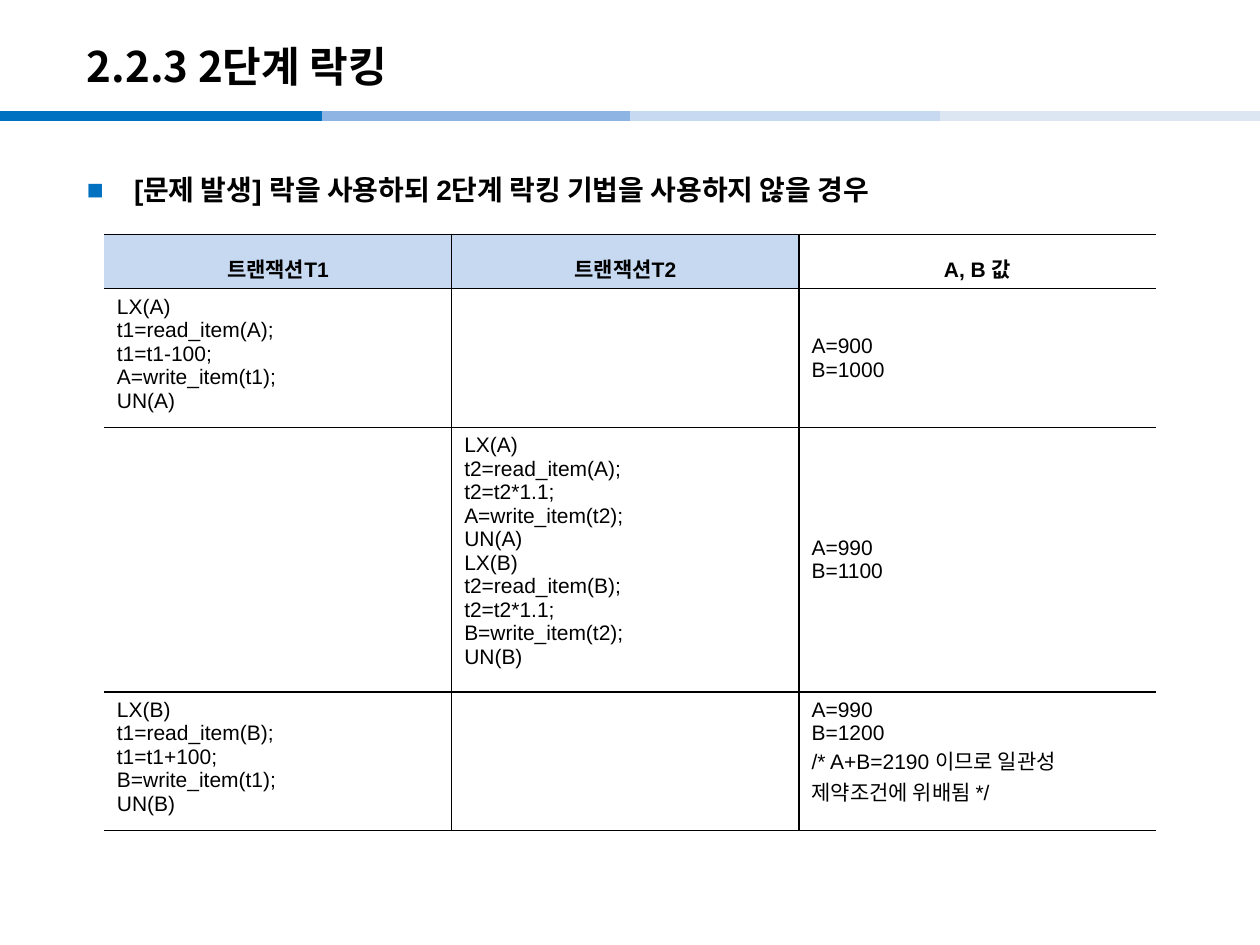
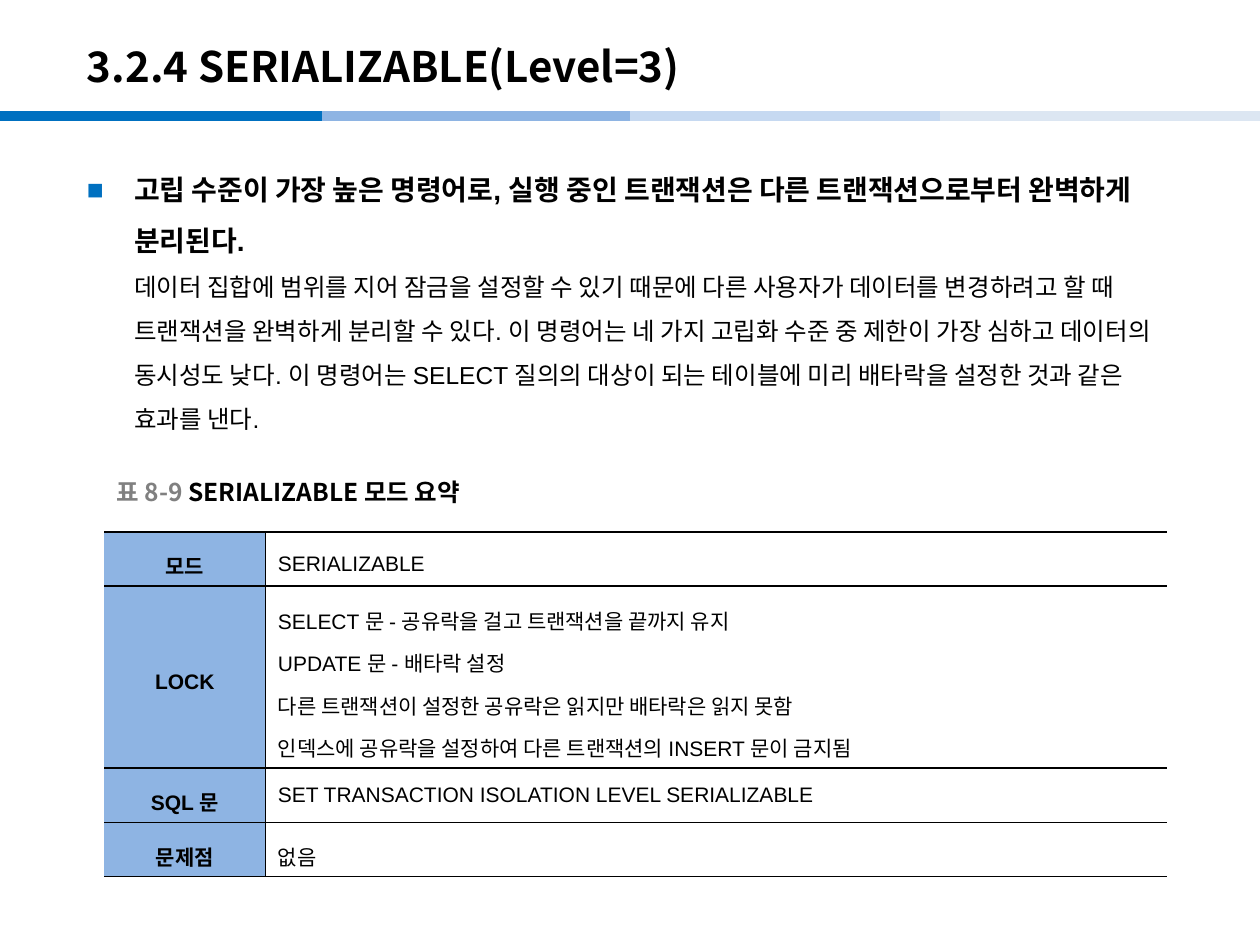
import copy
from dataclasses import dataclass

import pptx
import pptx.dml.color
import pptx.enum.shapes
import pptx.enum.text
import pptx.oxml
import pptx.oxml.ns
import pptx.util

Pt = pptx.util.Pt
ALIGN = pptx.enum.text.PP_ALIGN
ANCHOR = pptx.enum.text.MSO_ANCHOR

COLORS = {
    "text": "000000",
    "white": "FFFFFF",
    "caption_number": "808080",
    "blue": "0070C0",
    "mid_blue": "8EB4E3",
    "light_blue": "C6D9F1",
    "pale_blue": "DCE6F2",
}
BODY_FONT = "Arial"
KOREAN_FONT = "Noto Sans CJK KR"
BAND_TOP = 66.2
BANDS = [(0, "blue"), (184, "mid_blue"), (360, "light_blue"), (537, "pale_blue")]
SLIDE_WIDTH = 720
TABLE_LEFT = 59.6
SINGLE_ROW, CODE_ROW, LONG_CODE_ROW, LOCK_ROW = 31, 74, 141, 104


@dataclass
class Cell:
    lines: tuple = ()
    fill: str = "white"
    bold: bool = False
    align: ALIGN = ALIGN.LEFT
    anchor: ANCHOR = ANCHOR.TOP
    spacing: float = 1.0


def heading(text, fill):
    return Cell((text,), fill, True, ALIGN.CENTER, ANCHOR.MIDDLE, 1.4)


def centred_values(*lines):
    return Cell(lines, anchor=ANCHOR.MIDDLE)


def description(*lines, anchor=ANCHOR.TOP):
    return Cell(lines, anchor=anchor, spacing=1.4)


def rgb(name):
    return pptx.dml.color.RGBColor.from_string(COLORS[name])


def add_run(paragraph, text, size, bold=False, font=BODY_FONT, color="text"):
    run = paragraph.add_run()
    run.text = text
    run.font.size = Pt(size)
    run.font.bold = bold
    run.font.color.rgb = rgb(color)
    run.font.name = font
    properties = run._r.get_or_add_rPr()
    east_asian = pptx.oxml.ns.qn("a:ea")
    properties.makeelement(east_asian)
    properties.append(properties.makeelement(east_asian, {"typeface": KOREAN_FONT}))
    return run


def add_line_break(paragraph, run):
    """Break the line after run, at the size of that run."""
    paragraph.add_line_break()
    paragraph._p[-1].append(copy.deepcopy(run._r.rPr))


def add_bands(slide):
    ends = [left for left, _ in BANDS[1:]] + [SLIDE_WIDTH]
    for (left, color), right in zip(BANDS, ends):
        band = slide.shapes.add_connector(
            pptx.enum.shapes.MSO_CONNECTOR.STRAIGHT,
            Pt(left), Pt(BAND_TOP), Pt(right), Pt(BAND_TOP))
        band.line.color.rgb = rgb(color)
        band.line.width = Pt(6)
        properties = band._element.spPr
        properties.append(properties.makeelement(pptx.oxml.ns.qn("a:effectLst")))


def add_titled_slide(deck, title_text):
    slide = deck.slides.add_slide(deck.slide_layouts[5])
    add_bands(slide)
    title = slide.shapes.title
    title.left, title.top, title.width, title.height = Pt(42.5), Pt(16), Pt(595), Pt(43)
    title.text_frame.vertical_anchor = ANCHOR.MIDDLE
    paragraph = title.text_frame.paragraphs[0]
    paragraph.alignment = ALIGN.LEFT
    add_run(paragraph, title_text, 24, True, KOREAN_FONT)
    return slide


def add_bullet(slide, statement, explanation=None):
    body = slide.shapes.add_textbox(Pt(42.5), Pt(85.7), Pt(635), Pt(430.5))
    body.text_frame.word_wrap = True
    paragraph = body.text_frame.paragraphs[0]
    paragraph.line_spacing = 1.5
    properties = paragraph._p.get_or_add_pPr()
    properties.set("marL", str(Pt(27)))
    properties.set("indent", str(-Pt(27)))
    for tag, attributes in (("buFont", {"typeface": BODY_FONT}), ("buChar", {"char": "■"})):
        properties.append(properties.makeelement(pptx.oxml.ns.qn("a:" + tag), attributes))
    properties.insert(1, pptx.oxml.parse_xml(
        f'<a:buClr {pptx.oxml.ns.nsdecls("a")}><a:srgbClr val="{COLORS["blue"]}"/></a:buClr>'))
    statement_run = add_run(paragraph, statement, 16, True)
    if explanation:
        add_line_break(paragraph, statement_run)
        add_run(paragraph, explanation, 14)


def set_borders(cell, has_left, has_right):
    properties = cell._tc.get_or_add_tcPr()
    sides = (("L", has_left), ("R", has_right), ("T", True), ("B", True))
    for side, visible in sides:
        paint = (f'<a:solidFill><a:srgbClr val="{COLORS["text"]}"/></a:solidFill>'
                 if visible else "<a:noFill/>")
        properties.append(pptx.oxml.parse_xml(
            f'<a:ln{side} {pptx.oxml.ns.nsdecls("a")} w="{Pt(1)}">{paint}</a:ln{side}>'))


def fill_cell(cell, content):
    cell.fill.solid()
    cell.fill.fore_color.rgb = rgb(content.fill)
    cell.vertical_anchor = content.anchor
    frame = cell.text_frame
    for number, line in enumerate(content.lines):
        paragraph = frame.add_paragraph() if number else frame.paragraphs[0]
        paragraph.alignment = content.align
        paragraph.line_spacing = content.spacing
        add_run(paragraph, line, 12, content.bold)


def add_ruled_table(slide, top, widths, heights, rows):
    """Table with horizontal rules and inner vertical rules, open at both sides."""
    table = slide.shapes.add_table(
        len(rows), len(widths), Pt(TABLE_LEFT), Pt(top),
        Pt(sum(widths)), Pt(sum(heights))).table
    table.first_row = table.horz_banding = False
    for column, width in zip(table.columns, widths):
        column.width = Pt(width)
    for row, height, contents in zip(table.rows, heights, rows):
        row.height = Pt(height)
        for index, (cell, content) in enumerate(zip(row.cells, contents)):
            set_borders(cell, index > 0, index < len(widths) - 1)
            fill_cell(cell, content)


def add_table_caption(slide, number, text):
    caption = slide.shapes.add_textbox(Pt(TABLE_LEFT), Pt(270), Pt(220), Pt(22.3))
    caption.text_frame.word_wrap = False
    caption.text_frame.vertical_anchor = ANCHOR.MIDDLE
    paragraph = caption.text_frame.paragraphs[0]
    add_run(paragraph, number, 14, True, KOREAN_FONT, "caption_number")
    add_run(paragraph, text, 14, True, KOREAN_FONT)


def locked_update(transaction, item, change):
    """Steps that lock an item, change it and unlock it."""
    return (f"LX({item})", f"{transaction}=read_item({item});",
            f"{transaction}={transaction}{change};",
            f"{item}=write_item({transaction});", f"UN({item})")


def build_locking_slide(deck):
    slide = add_titled_slide(deck, "2.2.3 2단계 락킹")
    add_bullet(slide, "[문제 발생] 락을 사용하되 2단계 락킹 기법을 사용하지 않을 경우")
    rows = [
        [heading("트랜잭션T1", "light_blue"), heading("트랜잭션T2", "light_blue"),
         heading("A, B 값", "white")],
        [Cell(locked_update("t1", "A", "-100")), Cell(),
         centred_values("A=900", "B=1000")],
        [Cell(), Cell(locked_update("t2", "A", "*1.1") + locked_update("t2", "B", "*1.1")),
         centred_values("A=990", "B=1100")],
        [Cell(locked_update("t1", "B", "+100")), Cell(),
         Cell(("A=990", "B=1200", "/* A+B=2190 이므로 일관성 제약조건에 위배됨 */"))],
    ]
    add_ruled_table(slide, 134, [198.5, 198.5, 204],
                    [SINGLE_ROW, CODE_ROW, LONG_CODE_ROW, CODE_ROW], rows)


def build_serializable_slide(deck):
    slide = add_titled_slide(deck, "3.2.4 SERIALIZABLE(Level=3)")
    add_bullet(
        slide,
        "고립 수준이 가장 높은 명령어로, 실행 중인 트랜잭션은 다른 트랜잭션으로부터 완벽하게 분리된다. ",
        "데이터 집합에 범위를 지어 잠금을 설정할 수 있기 때문에 다른 사용자가 데이터를 변경하려고 할 때 "
        "트랜잭션을 완벽하게 분리할 수 있다. 이 명령어는 네 가지 고립화 수준 중 제한이 가장 심하고 "
        "데이터의 동시성도 낮다. 이 명령어는 SELECT 질의의 대상이 되는 테이블에 미리 배타락을 설정한 "
        "것과 같은 효과를 낸다.")
    summary = [
        ("모드", description("SERIALIZABLE", anchor=ANCHOR.MIDDLE)),
        ("LOCK", description(
            "SELECT 문 - 공유락을 걸고 트랜잭션을 끝까지 유지",
            "UPDATE 문 - 배타락 설정",
            "다른 트랜잭션이 설정한 공유락은 읽지만 배타락은 읽지 못함",
            "인덱스에 공유락을 설정하여 다른 트랜잭션의 INSERT 문이 금지됨")),
        ("SQL 문", description("SET TRANSACTION ISOLATION LEVEL SERIALIZABLE")),
        ("문제점", description("없음")),
    ]
    rows = [[heading(label, "mid_blue"), content] for label, content in summary]
    add_ruled_table(slide, 304, [92, 515],
                    [SINGLE_ROW, LOCK_ROW, SINGLE_ROW, SINGLE_ROW], rows)
    add_table_caption(slide, "표 8-9 ", "SERIALIZABLE 모드 요약")


def main():
    deck = pptx.Presentation()
    deck.slide_width, deck.slide_height = Pt(SLIDE_WIDTH), Pt(540)
    build_locking_slide(deck)
    build_serializable_slide(deck)
    deck.save("out.pptx")


if __name__ == "__main__":
    main()
